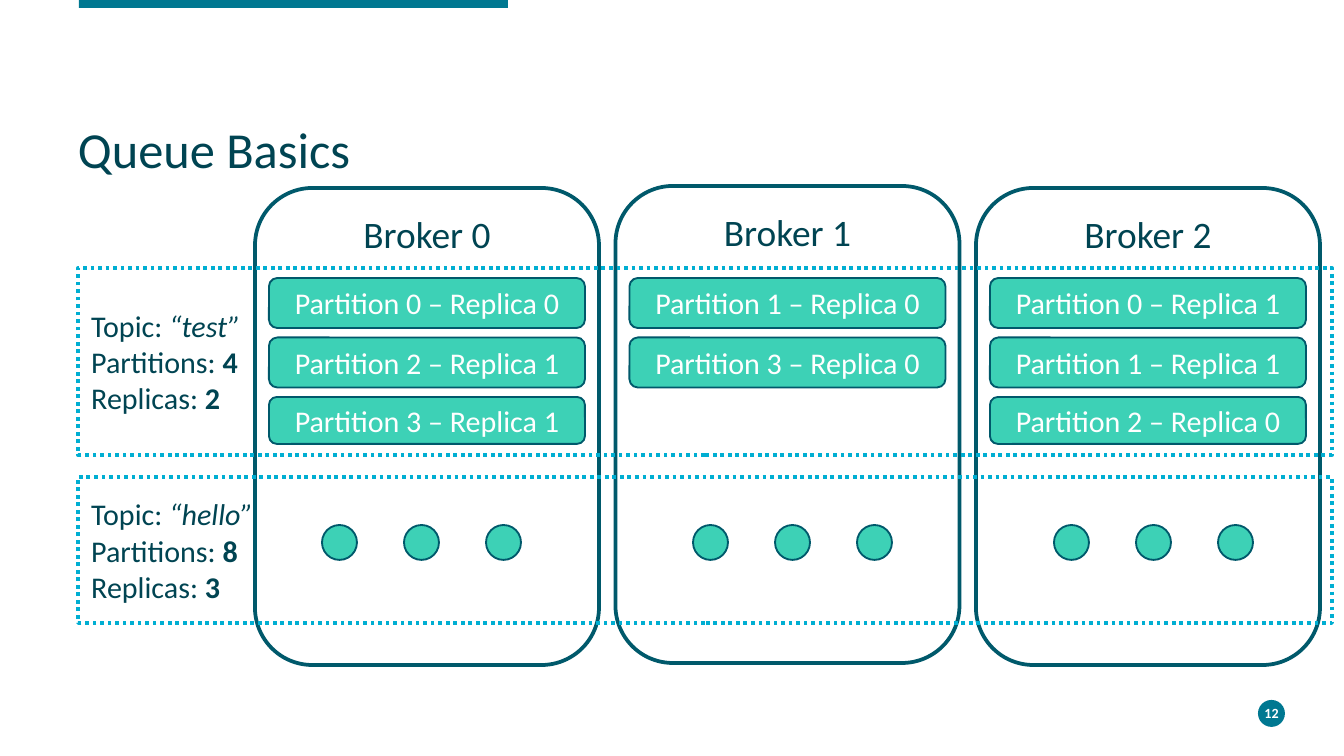
from pptx import Presentation
from pptx.dml.color import RGBColor
from pptx.enum.dml import MSO_LINE
from pptx.enum.shapes import MSO_SHAPE
from pptx.enum.text import MSO_ANCHOR, PP_ALIGN
from pptx.util import Emu, Pt

RECT, ROUNDED, OVAL = MSO_SHAPE.RECTANGLE, MSO_SHAPE.ROUNDED_RECTANGLE, MSO_SHAPE.OVAL
LEFT, CENTER = PP_ALIGN.LEFT, PP_ALIGN.CENTER
TOP, MIDDLE = MSO_ANCHOR.TOP, MSO_ANCHOR.MIDDLE
DOTTED = MSO_LINE.ROUND_DOT

# Content
TITLE = "Queue Basics"
PAGE_NUMBER = "12"
# Broker name, top, first dot left, (partition, replica) pairs
BROKERS = [
    ("Broker 0", 188, 322, [(0, 0), (2, 1), (3, 1)]),
    ("Broker 1", 186, 693, [(1, 0), (3, 0)]),
    ("Broker 2", 188, 1054, [(0, 1), (1, 1), (2, 0)]),
]
# Topic name, partitions, replicas, top, height
TOPICS = [
    ("“test”", "4", "2", 268, 187),
    ("“hello”", "8", "3", 477, 146),
]

THEME = {
    "font": "Calibri", "accent": "007891", "ink": "004452", "outline": "00596B",
    "dots": "00AED2", "mint": "3DD1B6", "white": "FFFFFF",
    "title": 27, "broker": 20, "body": 16.1, "number": 7.5,
}

# Layout in pixels
SCALE = 914400 / 134.4
BROKER_LEFT, BROKER_STEP, BROKER_SIZE = 255, 360.5, (344, 477)
REPLICA_INSET, REPLICA_TOP, REPLICA_STEP, REPLICA_WIDTH = 14, 278, 59.5, 316
REPLICA_HEIGHTS = (50, 50, 47)
DOT_TOP, DOT_STEP, DOT_SIZE, DOT_COUNT = 525, 82, 35, 3
TOPIC_LEFT, TOPIC_WIDTH = 78, 1254


def px(value):
    return Emu(round(value * SCALE))


def color(name):
    return RGBColor.from_string(THEME[name])


def add_box(kind, left, top, width, height, fill=None, line=None, weight=1):
    box = page.shapes.add_shape(kind, px(left), px(top), px(width), px(height))
    box.shadow.inherit = False
    if fill:
        box.fill.solid()
        box.fill.fore_color.rgb = color(fill)
    else:
        box.fill.background()
    if line:
        box.line.color.rgb = color(line)
        box.line.width = Pt(weight)
    else:
        box.line.fill.background()
    return box


def add_label(left, top, width, height):
    box = page.shapes.add_textbox(px(left), px(top), px(width), px(height))
    frame = box.text_frame
    frame.margin_left = frame.margin_right = frame.margin_top = frame.margin_bottom = 0
    return box


def style(span, size, ink, bold=False, italic=False):
    span.font.name = THEME["font"]
    span.font.size = Pt(THEME[size])
    span.font.color.rgb = color(ink)
    span.font.bold = bold
    span.font.italic = italic


def write(box, text, size, ink, align=CENTER, anchor=MIDDLE, bold=False):
    frame = box.text_frame
    frame.word_wrap = True
    frame.vertical_anchor = anchor
    frame.text = text
    para = frame.paragraphs[0]
    para.alignment = align
    style(para.runs[0], size, ink, bold)
    return para


deck = Presentation()
deck.slide_width, deck.slide_height = px(1344), px(756)
page = deck.slides.add_slide(deck.slide_layouts[6])

# Top bar, title and page number
add_box(RECT, 79, 0, 429, 8, fill="accent")
add_box(OVAL, 1258, 700, 27, 27, fill="accent")
heading = write(add_label(78, 125, 1173, 60), TITLE, "title", "ink", LEFT, TOP)
heading.line_spacing = 0.9
write(add_label(1251, 702, 41, 22), PAGE_NUMBER, "number", "white", bold=True)

# Brokers with their replicas and dots
for column, (name, top, dot_left, replicas) in enumerate(BROKERS):
    left = BROKER_LEFT + column * BROKER_STEP
    broker = add_box(ROUNDED, left, top, *BROKER_SIZE, line="outline", weight=2)
    write(broker, name, "broker", "ink", anchor=TOP)
    for row, (partition, replica) in enumerate(replicas):
        bar = add_box(ROUNDED, left + REPLICA_INSET, REPLICA_TOP + row * REPLICA_STEP,
                      REPLICA_WIDTH, REPLICA_HEIGHTS[row], "mint", "outline")
        write(bar, f"Partition {partition} – Replica {replica}", "body", "white")
    for index in range(DOT_COUNT):
        add_box(OVAL, dot_left + index * DOT_STEP, DOT_TOP, DOT_SIZE, DOT_SIZE,
                "mint", "outline")

# Topic frames across the brokers
for name, partitions, replicas, top, height in TOPICS:
    topic = add_box(RECT, TOPIC_LEFT, top, TOPIC_WIDTH, height, line="dots", weight=2)
    topic.line.dash_style = DOTTED
    frame = topic.text_frame
    frame.word_wrap = True
    frame.vertical_anchor = MIDDLE
    facts = [("Topic: ", name), ("Partitions: ", partitions), ("Replicas: ", replicas)]
    frame.text = "\n".join(label for label, _ in facts)
    for para, (_, value) in zip(frame.paragraphs, facts):
        para.alignment = LEFT
        style(para.runs[0], "body", "ink")
        span = para.add_run()
        span.text = value
        style(span, "body", "ink", bold=value != name, italic=value == name)

deck.save("out.pptx")
